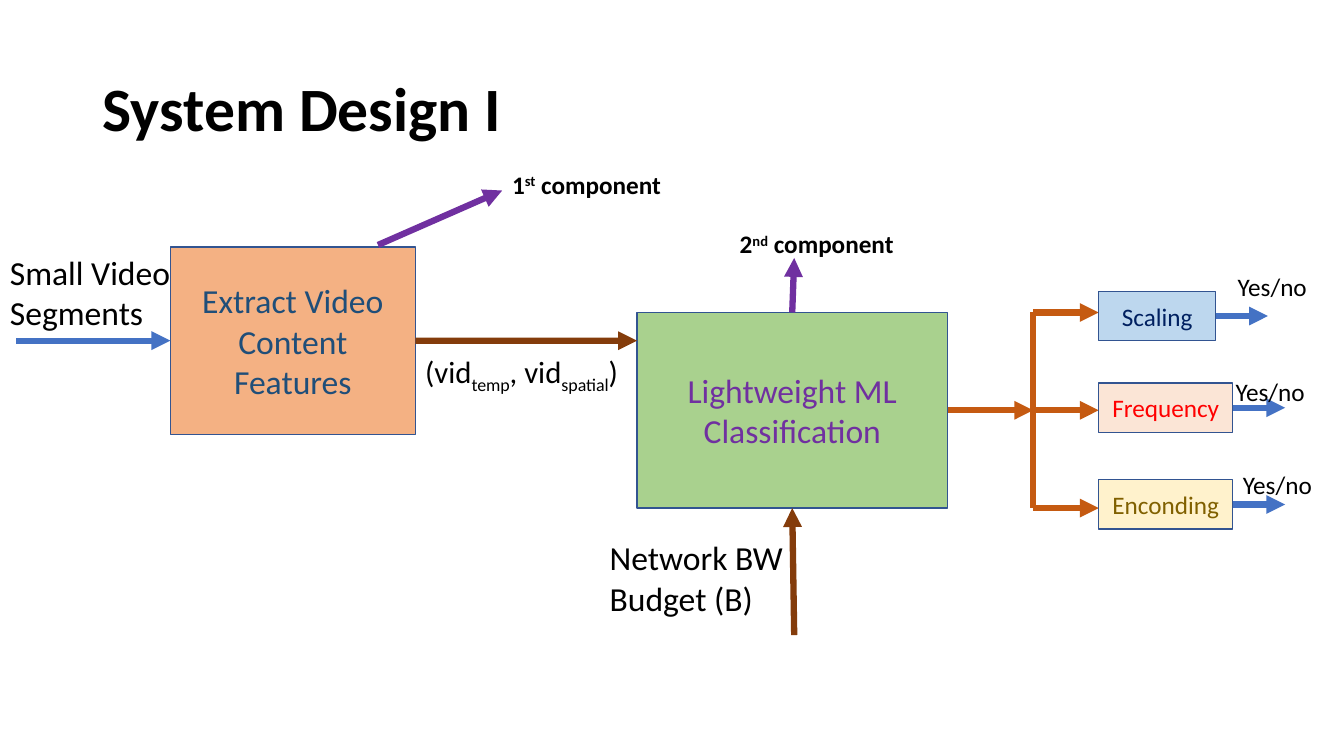
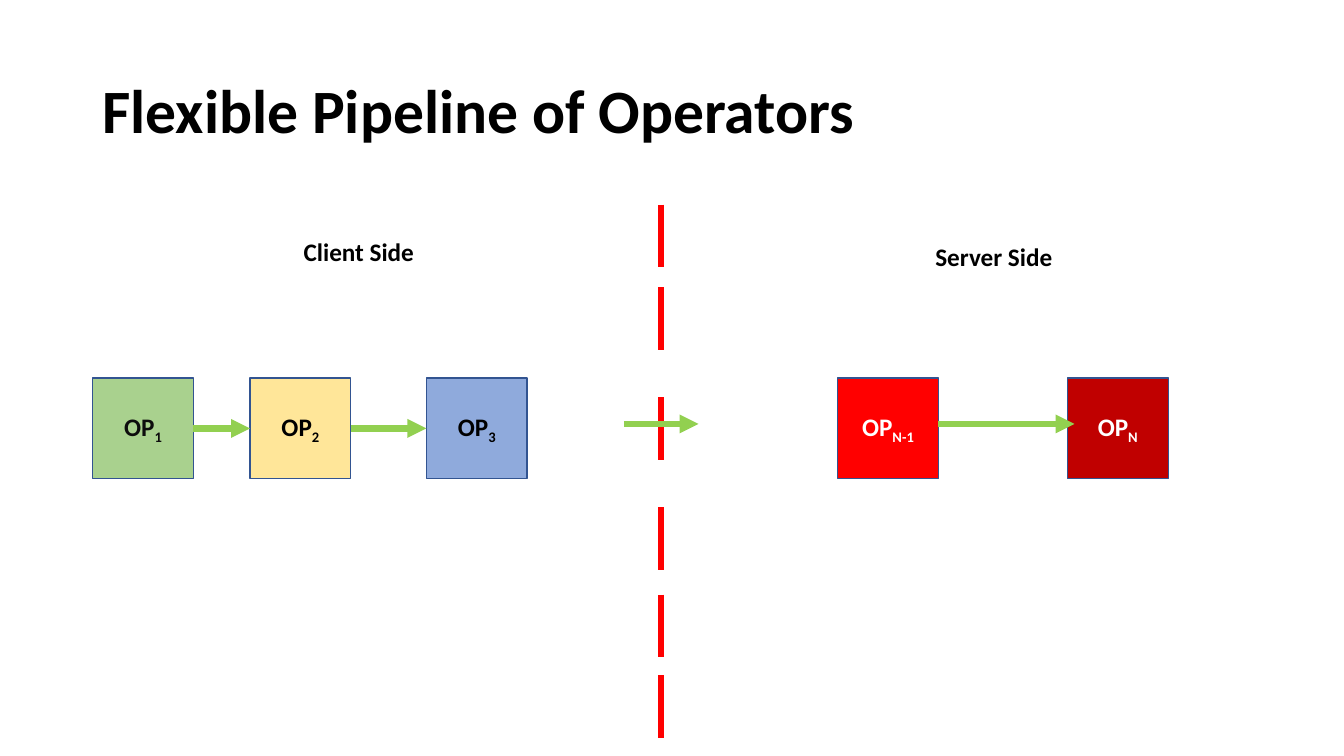
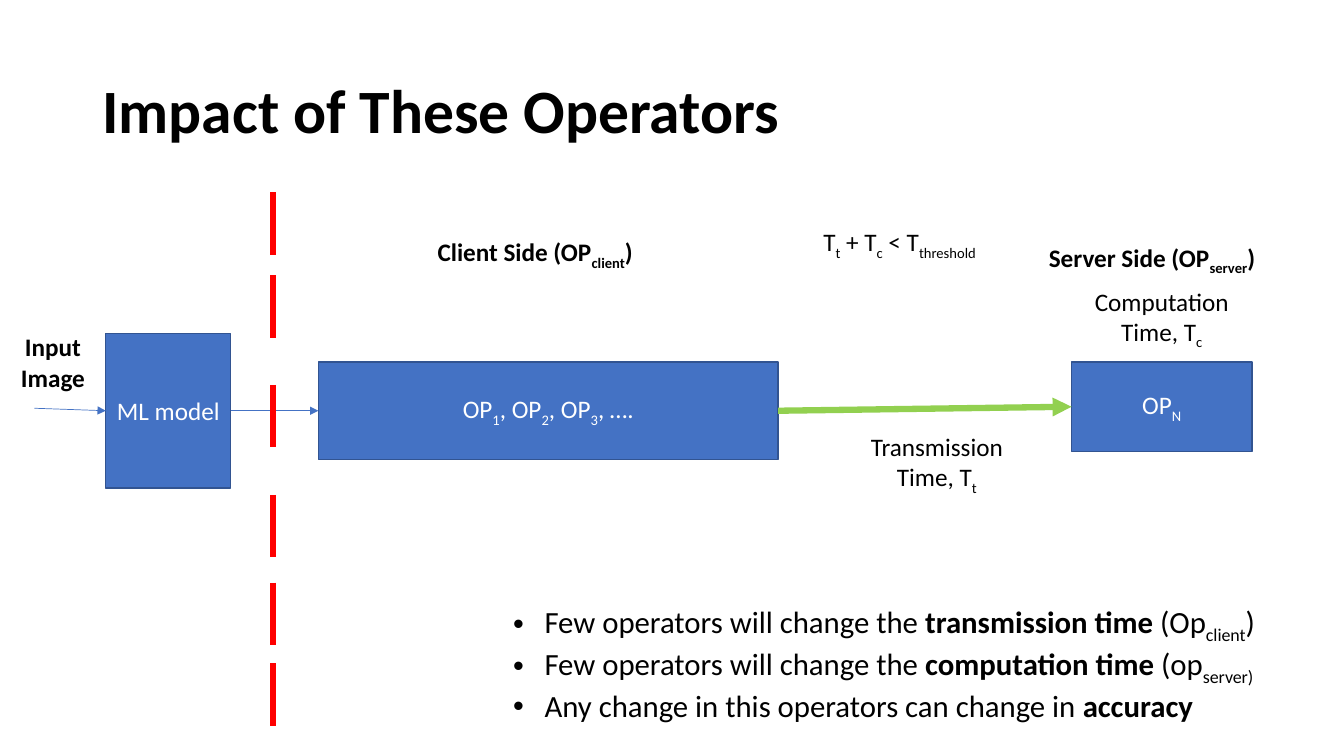
from itertools import pairwise

from lxml.etree import SubElement
from pptx import Presentation
from pptx.dml.color import RGBColor
from pptx.enum.shapes import MSO_CONNECTOR, MSO_SHAPE
from pptx.enum.text import MSO_ANCHOR, MSO_AUTO_SIZE, PP_ALIGN
from pptx.oxml.ns import qn
from pptx.util import Pt

FONT = "Calibri"
BLACK, WHITE, RED = "000000", "FFFFFF", "FF0000"
BLUE, OUTLINE, GREEN = "4472C4", "325491", "92D050"
BROWN, ORANGE, PURPLE = "843C0B", "C55A11", "7030A0"
PALE_GREEN = "A9D18E"
TOP, LEFT, BOTTOM, RIGHT = range(4)
BASELINES = {"_": "-25000", "^": "30000"}
TITLE_ONLY, TITLE_AND_BODY = 5, 1


def rgb(color):
    return RGBColor.from_string(color)


def write(tf, text, size=18, color=BLACK, bold=False, align=PP_ALIGN.LEFT):
    """Lines end at newlines, runs at bars; _ is subscript, ^ superscript, * bold."""
    tf.word_wrap = True
    for i, line in enumerate(text.split("\n")):
        p = tf.add_paragraph() if i else tf.paragraphs[0]
        p.alignment = align
        for part in line.split("|"):
            mark = part[0] if part[0] in "_^*" else ""
            r = p.add_run()
            r.text = part[len(mark):]
            r.font.name, r.font.size = FONT, Pt(size)
            r.font.bold = bold or mark == "*"
            r.font.color.rgb = rgb(color)
            if mark in BASELINES:
                r._r.get_or_add_rPr().set("baseline", BASELINES[mark])


def label(s, x, y, w, h, text, **style):
    sp = s.shapes.add_textbox(Pt(x), Pt(y), Pt(w), Pt(h))
    write(sp.text_frame, text, **style)


def box(s, x, y, w, h, text, fill=BLUE, **style):
    sp = s.shapes.add_shape(MSO_SHAPE.RECTANGLE, Pt(x), Pt(y), Pt(w), Pt(h))
    sp.shadow.inherit = False
    sp.fill.solid()
    sp.fill.fore_color.rgb = rgb(fill)
    sp.line.color.rgb = rgb(OUTLINE)
    sp.line.width = Pt(1)
    sp.text_frame.vertical_anchor = MSO_ANCHOR.MIDDLE
    write(sp.text_frame, text, align=PP_ALIGN.CENTER, **style)
    return sp


def side(sp, site):
    """Middle of one side of a shape, in points."""
    across = {LEFT: 0, RIGHT: 1}.get(site, 0.5)
    down = {TOP: 0, BOTTOM: 1}.get(site, 0.5)
    return (sp.left + sp.width * across) / Pt(1), (sp.top + sp.height * down) / Pt(1)


def line(s, start, end, color, width=4.5, head=True):
    """Each end is an (x, y) point or a (shape, side) pair to join."""
    joined = [not isinstance(e[0], (int, float)) for e in (start, end)]
    (x1, y1), (x2, y2) = [side(*e) if j else e for e, j in zip((start, end), joined)]
    c = s.shapes.add_connector(MSO_CONNECTOR.STRAIGHT, Pt(x1), Pt(y1), Pt(x2), Pt(y2))
    if joined[0]:
        c.begin_connect(*start)
    if joined[1]:
        c.end_connect(*end)
    c.line.color.rgb = rgb(color)
    c.line.width = Pt(width)
    if head:
        SubElement(c.line._get_or_add_ln(), qn("a:tailEnd")).set("type", "triangle")
    SubElement(c._element.spPr, qn("a:effectLst"))


def place(sp, x, y, w, h):
    sp.left, sp.top, sp.width, sp.height = Pt(x), Pt(y), Pt(w), Pt(h)
    sp.text_frame.auto_size = MSO_AUTO_SIZE.NONE


def titled_slide(prs, text, layout=TITLE_ONLY, top=28.8):
    s = prs.slides.add_slide(prs.slide_layouts[layout])
    title = s.shapes.title
    place(title, 66, top, 828, 104.4)
    title.text_frame.vertical_anchor = MSO_ANCHOR.MIDDLE
    write(title.text_frame, text, size=44, bold=True)
    title.text_frame.paragraphs[0].line_spacing = 0.9
    return s


def divider(s, x, top):
    """Red dashes between the client and the server."""
    for dy in (0, 59, 137.5, 216, 278.6, 336.2):
        line(s, (x, top + dy), (x, top + dy + 44.6), RED, head=False)


def feature_stage(s, x, y, w, h):
    sp = box(s, x, y, w, h, "Extract Video Content Features", "F4B183", size=24, color="1F4E79")
    line(s, (x - 110, y + h / 2), (sp, LEFT), BLUE)
    label(s, 0, y, 140, 65.5, "Small Video Segments", size=24)
    line(s, (x + 148.3, y - 1.4), (x + 237, y - 40.3), PURPLE)
    label(s, x + 237, y - 59, 170.6, 28.8, "1|^st| component", bold=True)
    return sp


def classifier_stage(s, x, y, w, h):
    sp = box(s, x, y, w, h, "Lightweight ML Classification", PALE_GREEN, size=24, color=PURPLE)
    tip_x = x + w / 2 + 1.4
    line(s, (tip_x, y + h + 90.7), (sp, BOTTOM), BROWN)
    label(s, x - 26.6, y + h + 17.3, 139, 65.5, "Network BW Budget (B)", size=24)
    label(s, x + 66.3, y - 63.4, 170.6, 28.8, "2|^nd| component", bold=True)
    line(s, (sp, TOP), (tip_x, y - 38.9), PURPLE)
    return sp


def decision_fork(s, source, x, boxes_x):
    """Splits the output of source at x into the three decisions."""
    top, height = source.top / Pt(1), source.height / Pt(1)
    line(s, (source, RIGHT), (x, top + height / 2), ORANGE)
    line(s, (x, top), (x, top + height), ORANGE, head=False)
    decisions = [
        ("Scaling", "BDD7EE", "002060", 208.1, 83.5, (877, 190.1)),
        ("Frequency", "FBE5D6", RED, 273.6, 95.8, (875.5, 265)),
        ("Enconding", "FFF2CC", "806000", 342.7, 95.8, (880.6, 331.9)),
    ]
    for i, (name, fill, color, y, w, answer) in enumerate(decisions):
        branch_y = top + height * i / 2
        line(s, (x, branch_y), (boxes_x, branch_y), ORANGE)
        sp = box(s, boxes_x, y, w, 35.3, name, fill, color=color)
        right, middle = side(sp, RIGHT)
        line(s, (sp, RIGHT), (right + 37.4, middle), BLUE)
        label(s, *answer, 79, 28.8, "Yes/no")


def system_design(prs):
    s = titled_slide(prs, "System Design I", top=27.4)
    features = feature_stage(s, 121.7, 176.4, 175, 133.9)
    classifier = classifier_stage(s, 455, 223.2, 221.8, 139.7)
    line(s, (features, RIGHT), (455, 243.4), BROWN)
    label(s, 296.6, 248.4, 164, 60.5, "(vid|_temp|, vid|_spatial|)", size=22)
    decision_fork(s, classifier, 738, 784.8)


def operator_row(s, y, size, operators):
    return [box(s, x, y, size, size, f"OP|_{index}", fill, color=color, bold=True)
            for x, index, fill, color in operators]


def operator_pipeline(prs):
    s = titled_slide(prs, "Flexible Pipeline of Operators")
    client = operator_row(s, 270, 72, [
        (66.2, "1", PALE_GREEN, "0D0D0D"),
        (178.6, "2", "FFE699", BLACK),
        (304.6, "3", "8FAADC", BLACK),
    ])
    operator_row(s, 270, 72, [(598.3, "N-1", RED, WHITE), (762.5, "N", "C00000", WHITE)])
    divider(s, 472.3, 146.2)
    for x, y, name in ((149.8, 165.6, "Client Side"), (603.4, 168.5, "Server Side")):
        label(s, x, y, 213, 28.8, name, bold=True, align=PP_ALIGN.CENTER)
    for before, after in pairwise(client):
        line(s, (before, RIGHT), (after, LEFT), GREEN)
    for x1, x2 in ((445.7, 499), (670.3, 767.5)):
        line(s, (x1, 302.8), (x2, 302.8), GREEN)


def bullet_list(body, x, y, w, h, text):
    place(body, x, y, w, h)
    write(body.text_frame, text, size=22)
    for p in body.text_frame.paragraphs:
        p.space_before = Pt(0)
        pPr = p._p.get_or_add_pPr()
        pPr.set("marL", str(Pt(22.5)))
        pPr.set("indent", str(Pt(-22.5)))


def operator_impact(prs):
    s = titled_slide(prs, "Impact of These Operators", TITLE_AND_BODY)
    model = box(s, 75.6, 238.3, 89.3, 110.2, "ML model", color=WHITE)
    client = box(s, 227.5, 258.5, 328.3, 69.8, "OP|_1|, OP|_2|, OP|_3|, ….", color=WHITE)
    server = box(s, 765.4, 258.5, 128.9, 64.1, "OP|_N", color=WHITE)
    line(s, (24.5, 291.6), (model, LEFT), BLUE, 0.5)
    line(s, (model, RIGHT), (client, LEFT), BLUE, 0.5)
    line(s, (client, RIGHT), (server, LEFT), GREEN)
    divider(s, 195.1, 137.5)
    captions = [
        (0, 233.3, 75.6, 51.1, "Input\nImage", True),
        (275.8, 165.6, 213, 28.8, "Client Side (OP|_client|)", True),
        (716.4, 169.2, 213, 28.8, "Server Side (OP|_server|)", True),
        (609.8, 304.6, 118.8, 51.1, "Transmission Time, T|_t", False),
        (770.4, 200.9, 118.8, 51.1, "Computation Time, T|_c", False),
    ]
    for *area, text, bold in captions:
        label(s, *area, text, bold=bold, align=PP_ALIGN.CENTER)
    label(s, 581, 158.4, 150, 28.8, "T|_t| + T|_c| < T|_threshold")
    bullet_list(s.placeholders[1], 359.3, 427, 584, 87.1,
                "Few operators will change the |*transmission time |(Op|_client|)\n"
                "Few operators will change the |*computation time |(op|_server)\n"
                "Any change in this operators can change in |*accuracy")


def main():
    prs = Presentation()
    prs.slide_width, prs.slide_height = Pt(960), Pt(540)
    system_design(prs)
    operator_pipeline(prs)
    operator_impact(prs)
    prs.save("out.pptx")


if __name__ == "__main__":
    main()
